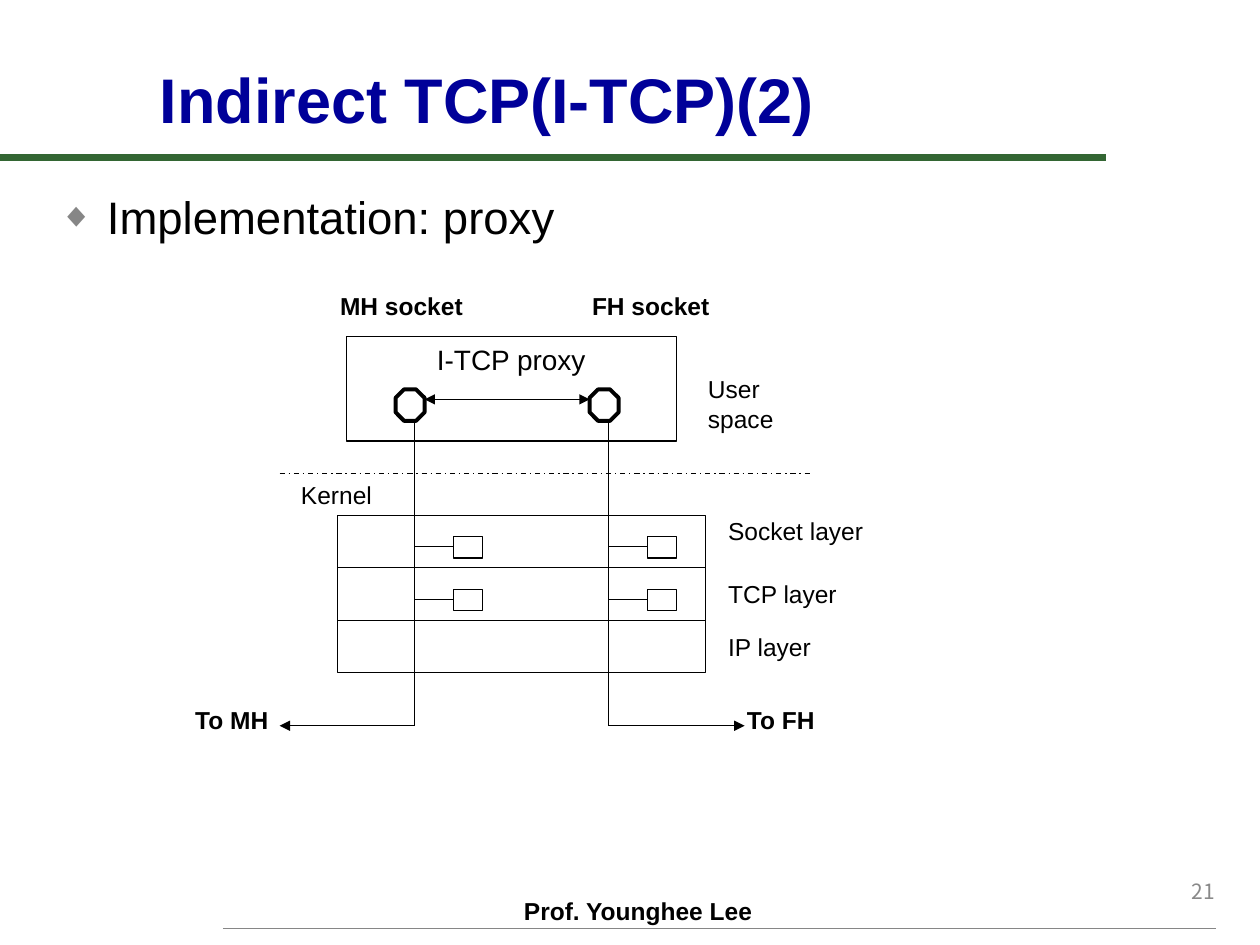
import pptx
import pptx.util
import pptx.dml.color
import pptx.enum.dml
import pptx.enum.shapes
import pptx.enum.text
import pptx.oxml.ns
from lxml import etree

Inches, Pt = pptx.util.Inches, pptx.util.Pt
RGBColor = pptx.dml.color.RGBColor
SHAPES = pptx.enum.shapes.MSO_SHAPE
ALIGN = pptx.enum.text.PP_ALIGN
ANCHOR = pptx.enum.text.MSO_ANCHOR
qn = pptx.oxml.ns.qn

BLACK = RGBColor(0x00, 0x00, 0x00)
NAVY = RGBColor(0x00, 0x00, 0x99)
GREEN = RGBColor(0x33, 0x66, 0x33)
GRAY = RGBColor(0x86, 0x86, 0x86)
NUMBER_GRAY = RGBColor(0x89, 0x89, 0x89)


def apply_format(target, values):
    for name, value in values.items():
        setattr(target, name, value)


def add_text(slide, box, text, size=14, color=BLACK, bold=False, name="Arial",
             anchor=ANCHOR.TOP, align=ALIGN.LEFT):
    shape = slide.shapes.add_textbox(*map(Inches, box))
    apply_format(shape.text_frame, {"word_wrap": True, "vertical_anchor": anchor})
    paragraph = shape.text_frame.paragraphs[0]
    paragraph.alignment = align
    run = paragraph.add_run()
    run.text = text
    apply_format(run.font, {"size": Pt(size), "bold": bold, "name": name})
    run.font.color.rgb = color
    east_asian = etree.SubElement(run.font._element, qn("a:ea"))
    east_asian.set("typeface", name)
    return paragraph


def add_line(slide, start, end, color=BLACK, width=0.75, dash=None, arrows=()):
    line = slide.shapes.add_connector(
        pptx.enum.shapes.MSO_CONNECTOR.STRAIGHT, *map(Inches, (*start, *end)))
    line.line.color.rgb = color
    apply_format(line.line, {"width": Pt(width), "dash_style": dash})
    for arrow in arrows:
        etree.SubElement(line.line._get_or_add_ln(), qn(f"a:{arrow}")).set("type", "triangle")
    etree.SubElement(line._element.spPr, qn("a:effectLst"))


def add_outline(slide, kind, box, width=0.75):
    shape = slide.shapes.add_shape(kind, *map(Inches, box))
    shape.shadow.inherit = False
    shape.fill.background()
    shape.line.color.rgb = BLACK
    shape.line.width = Pt(width)
    return shape


def add_header(slide, left, top):
    add_text(slide, (left + 1.17, top + 0.42, 7.75, 0.71), "Indirect TCP(I-TCP)(2)",
             36, NAVY, True, anchor=ANCHOR.BOTTOM)
    add_line(slide, (left, top + 1.25), (left + 8.78, top + 1.25), GREEN, 4)


def add_body(slide, left, top, width, height):
    paragraph = add_text(slide, (left, top, width, height), "Implementation: proxy", 26)
    properties = paragraph._p.get_or_add_pPr()
    properties.set("marL", str(Inches(0.38)))
    properties.set("indent", str(Inches(-0.38)))
    bullet_color = etree.SubElement(properties, qn("a:buClr"))
    etree.SubElement(bullet_color, qn("a:srgbClr")).set("val", str(GRAY))
    etree.SubElement(properties, qn("a:buSzPct")).set("val", "75000")
    etree.SubElement(properties, qn("a:buFont")).set("typeface", "Arial")
    etree.SubElement(properties, qn("a:buChar")).set("char", "◆")


def add_diagram(slide, left, top):
    def at(x, y):
        return left + x, top + y

    stems = {"MH": 1.84, "FH": 3.38}
    arrow_ends = {"MH": 0.77, "FH": 4.46}
    layer_left, layer_top, layer_width, layer_height = 1.23, 1.83, 2.92, 1.25
    layer_step = layer_height / 3

    # Proxy in user space, and the border with the kernel
    add_outline(slide, SHAPES.RECTANGLE, (*at(1.3, 0.41), 2.62, 0.83))
    add_line(slide, at(1.92, 0.91), at(3.23, 0.91), arrows=("headEnd", "tailEnd"))
    add_line(slide, at(0.77, 1.5), at(5, 1.5),
             dash=pptx.enum.dml.MSO_LINE.DASH_DOT)

    # Layer stack
    add_outline(slide, SHAPES.RECTANGLE,
                (*at(layer_left, layer_top), layer_width, layer_height))
    for index in (1, 2):
        y = layer_top + index * layer_step
        add_line(slide, at(layer_left, y), at(layer_left + layer_width, y))

    # Socket, stem, layer blocks and exit arrow of each host
    for host, x in stems.items():
        octagon = add_outline(slide, SHAPES.OCTAGON, (*at(x - 0.15, 0.83), 0.23, 0.25), 2.25)
        octagon.adjustments[0] = 0.293
        add_line(slide, at(x, 1.08), at(x, 3.5))
        for index in range(2):
            y = layer_top + 0.25 + index * layer_step
            add_line(slide, at(x, y), at(x + 0.31, y))
            add_outline(slide, SHAPES.RECTANGLE, (*at(x + 0.31, y - 0.08), 0.23, 0.17))
        add_line(slide, at(x, 3.5), at(arrow_ends[host], 3.5), arrows=("tailEnd",))

    # Labels: text, x, y, width, height, size, bold
    labels = [
        ("MH socket", 1.15, 0, 1.38, 0.34, 14, True),
        ("FH socket", 3.15, 0, 1.15, 0.34, 14, True),
        ("I-TCP proxy", 1.92, 0.41, 1.77, 0.37, 16, False),
        ("User space", 4.07, 0.66, 1.15, 0.57, 14, False),
        ("Kernel", 0.84, 1.5, 1.15, 0.34, 14, False),
        ("Socket layer", 4.23, 1.79, 1.31, 0.34, 14, False),
        ("TCP layer", 4.23, 2.29, 1.15, 0.34, 14, False),
        ("IP layer", 4.23, 2.71, 1.15, 0.34, 14, False),
        ("To MH", 0, 3.29, 1.15, 0.34, 14, True),
        ("To FH", 4.38, 3.29, 1.15, 0.34, 14, True),
    ]
    for text, x, y, width, height, size, bold in labels:
        add_text(slide, (*at(x, y), width, height), text, size, bold=bold)


def add_footer(slide, left, top):
    add_line(slide, (left, top + 0.55), (left + 7.88, top + 0.55), GRAY, 1)
    add_text(slide, (left + 2.29, top + 0.24, 2.08, 0.33), "Prof. Younghee Lee", bold=True)
    add_text(slide, (left + 5.89, top, 2.08, 0.5), "21", 12, NUMBER_GRAY,
             name="Noto Sans CJK KR", anchor=ANCHOR.MIDDLE, align=ALIGN.RIGHT)


presentation = pptx.Presentation()
apply_format(presentation, {"slide_width": Inches(10), "slide_height": Inches(7.5)})
slide = presentation.slides.add_slide(presentation.slide_layouts[6])
add_header(slide, 0, 0)
add_body(slide, 0.37, 1.45, 8.92, 2)
add_diagram(slide, 1.45, 2.26)
add_footer(slide, 1.77, 6.82)
presentation.save("out.pptx")
